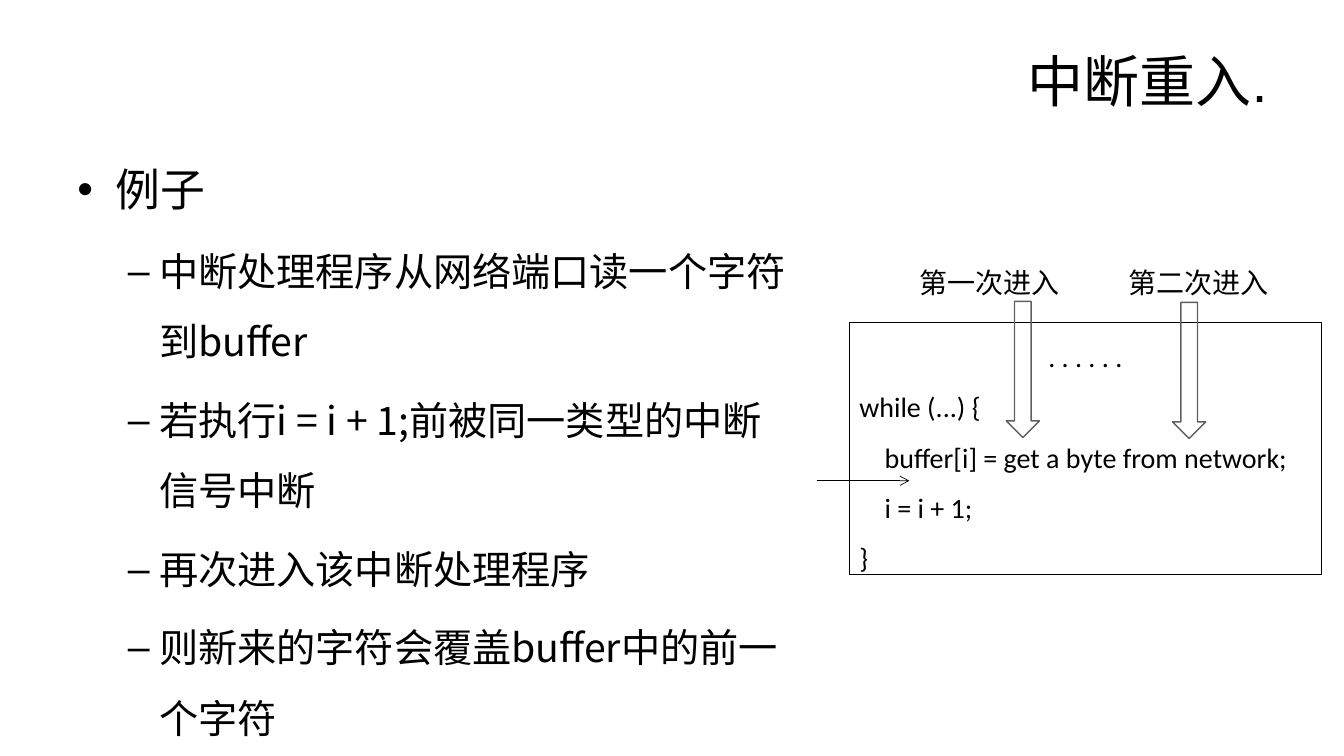
"""Build the slide on interrupt re-entry with its bullet list and code diagram."""
from lxml import etree
from pptx import Presentation
from pptx.dml.color import RGBColor
from pptx.enum.shapes import MSO_CONNECTOR, MSO_SHAPE
from pptx.enum.text import MSO_ANCHOR, MSO_AUTO_SIZE, PP_ALIGN
from pptx.oxml.ns import qn
from pptx.util import Pt

PX = 9144
RECTANGLE, DOWN_ARROW = MSO_SHAPE.RECTANGLE, MSO_SHAPE.DOWN_ARROW
STRAIGHT = MSO_CONNECTOR.STRAIGHT
TOP, MIDDLE = MSO_ANCHOR.TOP, MSO_ANCHOR.MIDDLE
LEFT, CENTER, RIGHT, JUSTIFY = PP_ALIGN.LEFT, PP_ALIGN.CENTER, PP_ALIGN.RIGHT, PP_ALIGN.JUSTIFY
CJK_FONT = "Noto Sans CJK SC"


def color(hex_string):
    """Turn a hex string into a colour."""
    return RGBColor.from_string(hex_string)


def write(shape, lines, font_name, size, alignment, anchor=MIDDLE):
    """Fill a shape with paragraphs in one style."""
    frame = shape.text_frame
    frame.word_wrap = True
    frame.auto_size = MSO_AUTO_SIZE.NONE
    frame.vertical_anchor = anchor
    frame.text = "\n".join(lines)
    for paragraph in frame.paragraphs:
        paragraph.alignment = alignment
        for run in paragraph.runs:
            run.font.name = font_name
            run.font.size = Pt(size)
            run.font.color.rgb = color("000000")
            east_asian = etree.SubElement(run.font._element, qn("a:ea"))
            east_asian.set("typeface", CJK_FONT)
    return frame


presentation = Presentation()
presentation.slide_width = 1333 * PX
presentation.slide_height = 750 * PX
slide = presentation.slides.add_slide(presentation.slide_layouts[5])

title = slide.shapes.title
title.left, title.top, title.width, title.height = 67 * PX, 30 * PX, 1200 * PX, 99 * PX
write(title, ["中断重入."], "Arial", 40, RIGHT)

bullets = [
    "例子",
    "中断处理程序从网络端口读一个字符到buffer",
    "若执行i = i + 1;前被同一类型的中断信号中断",
    "再次进入该中断处理程序",
    "则新来的字符会覆盖buffer中的前一个字符",
]
body = slide.shapes.add_textbox(67 * PX, 129 * PX, 729 * PX, 541 * PX)
body_frame = write(body, bullets, CJK_FONT, 28, LEFT, TOP)
for index, paragraph in enumerate(body_frame.paragraphs):
    level, margin, hanging, symbol = (1, 81, 31, "–") if index else (0, 38, 38, "•")
    properties = paragraph._p.get_or_add_pPr()
    properties.set("marL", str(margin * PX))
    properties.set("indent", str(-hanging * PX))
    etree.SubElement(properties, qn("a:buFont")).set("typeface", "Arial")
    etree.SubElement(properties, qn("a:buChar")).set("char", symbol)
    paragraph.level = level
    paragraph.line_spacing = 1.5
    if index:
        paragraph.space_before = Pt(5.6)
body_frame.paragraphs[0].runs[0].font.size = Pt(32)

diagram = slide.shapes.add_group_shape().shapes

for label, left, width in [("第二次进入", 1109, 165), ("第一次进入", 902, 174)]:
    entry_label = diagram.add_textbox(left * PX, 260 * PX, width * PX, 40 * PX)
    write(entry_label, [label], "Calibri", 20, JUSTIFY)

code_lines = [
    ". . . . . .",
    " while (...) {",
    "     buffer[i] = get a byte from network;",
    "     i = i + 1;",
    " }",
]
code_box = diagram.add_shape(RECTANGLE, 842 * PX, 320 * PX, 469 * PX, 250 * PX)
code_box.shadow.inherit = False
code_box.fill.background()
code_box.line.color.rgb = color("000000")
code_box.line.width = Pt(0.5)
code_frame = write(code_box, code_lines, "Calibri", 20, JUSTIFY)
code_frame.margin_left = code_frame.margin_right = 4 * PX
code_frame.margin_top = code_frame.margin_bottom = 4 * PX
for paragraph in code_frame.paragraphs:
    paragraph.line_spacing = 1.5
code_frame.paragraphs[0].alignment = CENTER

interrupt = diagram.add_connector(STRAIGHT, 810 * PX, 477 * PX, 902 * PX, 477 * PX)
interrupt.line.color.rgb = color("000000")
interrupt.line.width = Pt(0.5)
etree.SubElement(interrupt.line._get_or_add_ln(), qn("a:tailEnd")).set("type", "arrow")
etree.SubElement(interrupt._element.spPr, qn("a:effectLst"))

for left, top in [(998, 299), (1163, 300)]:
    entry_arrow = diagram.add_shape(DOWN_ARROW, left * PX, top * PX, 33 * PX, 135 * PX)
    entry_arrow.shadow.inherit = False
    entry_arrow.fill.background()
    entry_arrow.line.color.rgb = color("606060")
    entry_arrow.line.width = Pt(1)

presentation.save("out.pptx")
